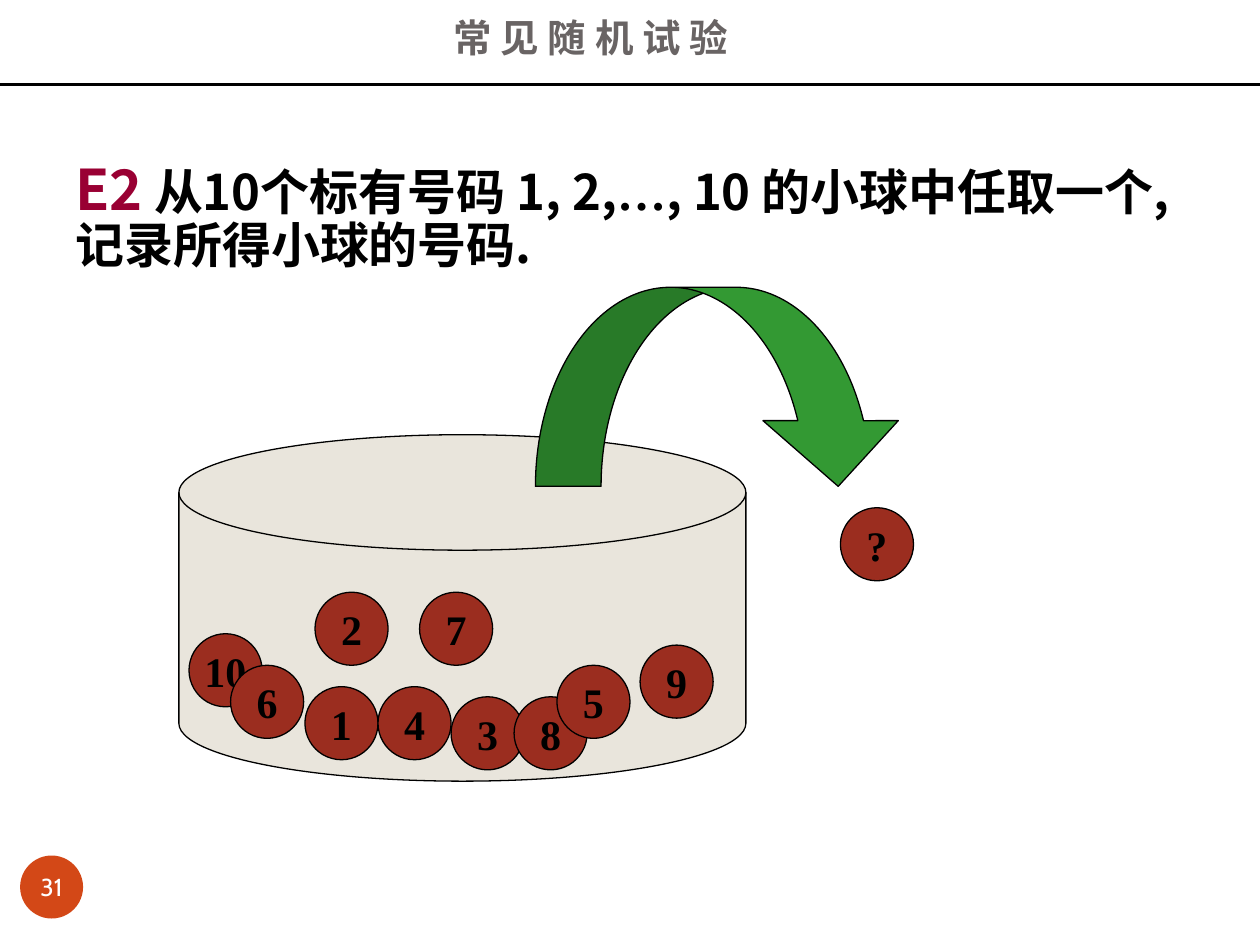
from pptx import Presentation
from pptx import util as u
from pptx.dml.color import RGBColor
from pptx.enum import shapes, text
from pptx.oxml import ns, xmlchemy

BLACK = RGBColor(0x00, 0x00, 0x00)
WHITE = RGBColor(0xFF, 0xFF, 0xFF)
GREY = RGBColor(0x69, 0x64, 0x64)
ORANGE = RGBColor(0xD3, 0x48, 0x17)
CRIMSON = RGBColor(0x99, 0x00, 0x33)
BRICK = RGBColor(0x9B, 0x2D, 0x1F)
SAND = RGBColor(0xE9, 0xE5, 0xDC)
GREEN = RGBColor(0x33, 0x99, 0x33)

BODY_FONT = "Cabin"
CJK_FONT = "Noto Sans CJK SC"
BALL_FONT = "Times New Roman"
BALL_SIZE = 0.58


class SlideBuilder:
    def __init__(self, slide):
        self.slide = slide

    def add_run(self, paragraph, words, size, font, color, bold=True):
        run = paragraph.add_run()
        run.text = words
        run.font.size = u.Pt(size)
        run.font.name = font
        run.font.bold = bold
        run.font.color.rgb = color
        east_asian = xmlchemy.OxmlElement("a:ea")
        east_asian.set("typeface", CJK_FONT)
        run.font._element.find(ns.qn("a:latin")).addnext(east_asian)

    def title(self, words, left, top, width, height):
        title = self.slide.shapes.title
        title.left, title.top = u.Inches(left), u.Inches(top)
        title.width, title.height = u.Inches(width), u.Inches(height)
        frame = title.text_frame
        frame.auto_size = text.MSO_AUTO_SIZE.NONE
        frame.vertical_anchor = text.MSO_ANCHOR.BOTTOM
        frame.margin_bottom = u.Inches(0.1)
        paragraph = frame.paragraphs[0]
        paragraph.alignment = text.PP_ALIGN.LEFT
        self.add_run(paragraph, words, 22, BODY_FONT, GREY)

    def statement(self, runs, left, top, width, height):
        box = self.slide.shapes.add_textbox(
            u.Inches(left), u.Inches(top), u.Inches(width), u.Inches(height))
        box.text_frame.word_wrap = True
        paragraph = box.text_frame.paragraphs[0]
        paragraph.line_spacing = 0.87
        for words, size, font, color in runs:
            self.add_run(paragraph, words, size, font, color)

    def shape(self, kind, left, top, width, height, fill, outlined=True):
        shape = self.slide.shapes.add_shape(
            kind, u.Inches(left), u.Inches(top), u.Inches(width), u.Inches(height))
        shape.shadow.inherit = False
        shape.fill.solid()
        shape.fill.fore_color.rgb = fill
        if outlined:
            shape.line.color.rgb = BLACK
            shape.line.width = u.Pt(0.75)
        else:
            shape.line.fill.background()
        return shape

    def disc(self, label, left, top, size, fill, font, points, color, badge=False):
        disc = self.shape(shapes.MSO_SHAPE.OVAL, left, top, size, size, fill, not badge)
        frame = disc.text_frame
        frame.word_wrap = False
        frame.vertical_anchor = text.MSO_ANCHOR.MIDDLE
        if badge:
            frame.margin_left = frame.margin_right = 0
            frame.margin_top = frame.margin_bottom = 0
        paragraph = frame.paragraphs[0]
        paragraph.alignment = text.PP_ALIGN.CENTER
        self.add_run(paragraph, label, points, font, color, not badge)

    def ball(self, label, left, top):
        self.disc(label, left, top, BALL_SIZE, BRICK, BALL_FONT, 24, BLACK)

    def rule(self, top, width):
        rule = self.slide.shapes.add_connector(
            shapes.MSO_CONNECTOR.STRAIGHT, 0, u.Inches(top), u.Inches(width), u.Inches(top))
        rule.line.color.rgb = BLACK
        rule.line.width = u.Pt(1.5)
        rule._element.spPr.append(xmlchemy.OxmlElement("a:effectLst"))


def main():
    deck = Presentation()
    deck.slide_width, deck.slide_height = u.Inches(10), u.Inches(7.5)
    builder = SlideBuilder(deck.slides.add_slide(deck.slide_layouts[5]))

    builder.title("常 见 随 机 试 验", 3.5, 0, 4.67, 0.58)
    builder.disc("31", 0.16, 6.79, 0.5, ORANGE, BODY_FONT, 14, WHITE, badge=True)
    builder.rule(0.67, 10)
    builder.statement([
        ("E2", 32, CJK_FONT, CRIMSON),
        (" 从10个标有号码 1, 2,", 28, CJK_FONT, BLACK),
        ("…", 28, BALL_FONT, BLACK),
        (", 10 的小球中任取一个, 记录所得小球的号码.", 28, CJK_FONT, BLACK),
    ], 0.5, 1.25, 9.08, 1.1)

    builder.shape(shapes.MSO_SHAPE.FLOWCHART_MAGNETIC_DISK, 1.42, 3.45, 4.5, 2.75, SAND)
    urn_balls = [
        ("1", 2.42, 5.45), ("2", 2.5, 4.7), ("3", 3.58, 5.53), ("10", 1.5, 5.03),
        ("9", 5.08, 5.12), ("8", 4.08, 5.53), ("7", 3.33, 4.7), ("6", 1.83, 5.28),
        ("5", 4.42, 5.28), ("4", 3, 5.45),
    ]
    for label, left, top in urn_balls:
        builder.ball(label, left, top)

    draw_arrow = builder.shape(
        shapes.MSO_SHAPE.CURVED_DOWN_ARROW, 4.25, 2.28, 2.94, 1.58, GREEN)
    for index, ratio in enumerate((0.33, 0.68, 0.33)):
        draw_arrow.adjustments[index] = ratio
    builder.ball("?", 6.67, 4.03)

    deck.save("out.pptx")


if __name__ == "__main__":
    main()
